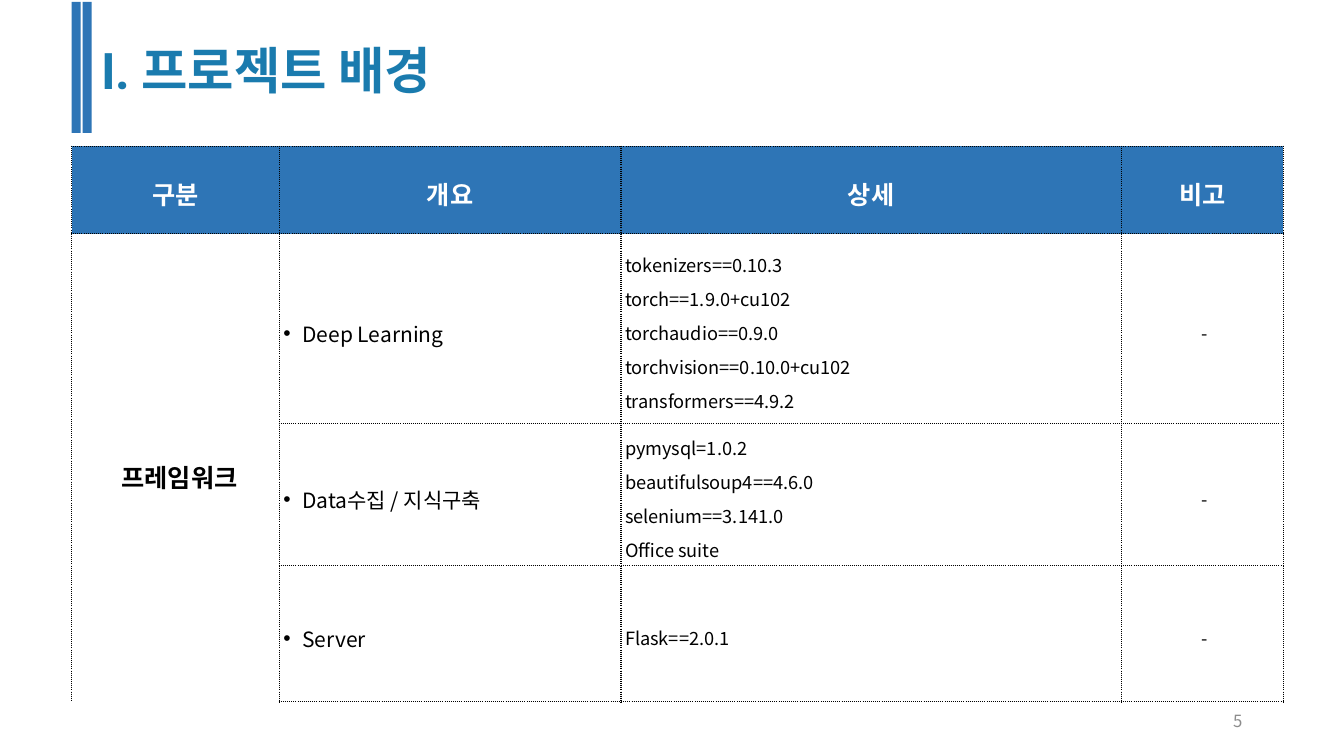
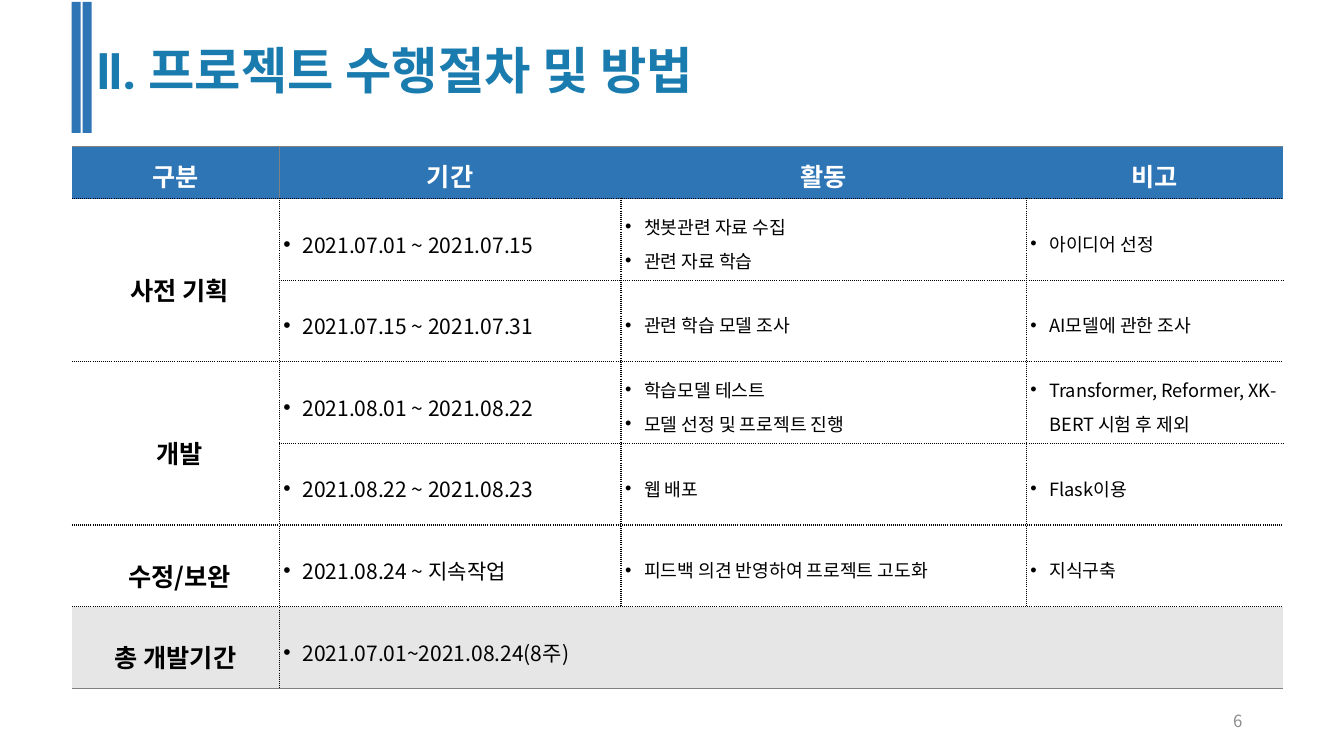
"""Build two project slides: the framework table and the schedule table."""
from lxml import etree
from pptx import Presentation
from pptx.dml.color import RGBColor
from pptx.enum.shapes import MSO_SHAPE
from pptx.enum.text import MSO_ANCHOR, MSO_AUTO_SIZE, PP_ALIGN
from pptx.oxml.ns import qn
from pptx.util import Emu, Pt

RECTANGLE = MSO_SHAPE.RECTANGLE
MIDDLE = MSO_ANCHOR.MIDDLE
GROW = MSO_AUTO_SIZE.SHAPE_TO_FIT_TEXT
LEFT, CENTER, RIGHT = PP_ALIGN.LEFT, PP_ALIGN.CENTER, PP_ALIGN.RIGHT

PX = 9144
SLIDE_SIZE = (1333, 750)
BLUE, TITLE_BLUE, GREY_TEXT, GREY_BAND = "2E75B6", "1A7BAE", "8C8C8C", "E7E6E6"
BLACK, WHITE = "000000", "FFFFFF"
BODY_FONT, TITLE_FONT = "Noto Sans CJK KR", "Roboto Condensed"

STRIPES = [(71, 2, 9, 130), (82, 2, 9, 130)]
TITLE_TOP, TITLE_WIDTH, TITLE_HEIGHT = 34, 744, 71
NUMBER_BOX = (942, 695, 300, 40)
TABLE_LEFT, TABLE_TOP = 71, 145
BULLET_INDENT = 19

DOTTED = (BLACK, 1, "sysDot")
THIN = ("808080", 0.5, "solid")
SIDES = {"L": (0, -1), "R": (0, 1), "T": (-1, 0), "B": (1, 0)}

CELL_STYLES = {
    "header": dict(size=18, bold=True, color=WHITE, align=CENTER, spacing=1.2, inset=0, fill=BLUE),
    "label": dict(size=18, bold=True, align=CENTER, spacing=1.5, inset=8),
    "item": dict(size=15, bullet=True),
    "list": dict(size=13, bullet=True),
    "plain": dict(size=13),
    "centred": dict(size=13, align=CENTER),
    "total label": dict(size=18, bold=True, align=CENTER, spacing=1.5, inset=0, fill=GREY_BAND),
    "total": dict(size=15, bullet=True, fill=GREY_BAND),
}

SLIDES = [
    dict(
        title="Ⅰ. 프로젝트 배경", title_left=91, number="5",
        widths=[206, 339, 496, 161], heights=[87, 188, 141, 135],
        kinds=["label", "item", "plain", "centred"],
        rows=[
            ["구분", "개요", "상세", "비고"],
            ["프레임워크", "Deep Learning",
             "tokenizers==0.10.3\ntorch==1.9.0+cu102\ntorchaudio==0.9.0\n"
             "torchvision==0.10.0+cu102\ntransformers==4.9.2", "-"],
            ["", "Data수집 / 지식구축",
             "pymysql=1.0.2\nbeautifulsoup4==4.6.0\nselenium==3.141.0\nOffice suite", "-"],
            ["", "Server", "Flask==2.0.1", "-"],
        ],
        merges=[(1, 0, 3, 0)],
        outline=dict(L=DOTTED, R=DOTTED, T=DOTTED, B=DOTTED),
        header_dividers=[DOTTED] * 3,
    ),
    dict(
        title="Ⅱ. 프로젝트 수행절차 및 방법", title_left=86, number="6",
        widths=[206, 339, 402, 255], heights=[52] + [81] * 6,
        kinds=["label", "item", "list", "list"],
        last_kinds=["total label"] + ["total"] * 3,
        rows=[
            ["구분", "기간", "활동", "비고"],
            ["사전 기획", "2021.07.01 ~ 2021.07.15", "챗봇관련 자료 수집\n관련 자료 학습", "아이디어 선정"],
            ["", "2021.07.15 ~ 2021.07.31", "관련 학습 모델 조사", "AI모델에 관한 조사"],
            ["개발", "2021.08.01 ~ 2021.08.22", "학습모델 테스트\n모델 선정 및 프로젝트 진행",
             "Transformer, Reformer, XK-BERT 시험 후 제외"],
            ["", "2021.08.22 ~ 2021.08.23", "웹 배포", "Flask이용"],
            ["수정/보완", "2021.08.24 ~ 지속작업", "피드백 의견 반영하여 프로젝트 고도화", "지식구축"],
            ["총 개발기간", "2021.07.01~2021.08.24(8주)", "", ""],
        ],
        merges=[(1, 0, 2, 0), (3, 0, 4, 0), (6, 1, 6, 3)],
        outline=dict(L=None, R=None, T=THIN, B=THIN),
        header_dividers=[THIN, None, None],
    ),
]


def px(value):
    return Emu(value * PX)


def rgb(color):
    return RGBColor.from_string(color)


def format_paragraph(para, size, color, font=BODY_FONT, bold=False, align=LEFT):
    para.alignment = align
    for span in para.runs:
        span.font.size = Pt(size)
        span.font.bold = bold
        span.font.color.rgb = rgb(color)
        span.font.name = font
        etree.SubElement(span.font._element, qn("a:ea"), typeface=BODY_FONT)


def add_bullet(para):
    properties = para._p.get_or_add_pPr()
    properties.set("marL", str(px(BULLET_INDENT)))
    properties.set("indent", str(-px(BULLET_INDENT)))
    etree.SubElement(properties, qn("a:buFont"), typeface="Arial")
    etree.SubElement(properties, qn("a:buChar"), char="•")


def add_text(page, bounds, text, **style):
    box = page.shapes.add_textbox(*map(px, bounds))
    frame = box.text_frame
    frame.word_wrap = True
    frame.text = text
    format_paragraph(frame.paragraphs[0], **style)
    return frame


def add_stripes(page):
    group = page.shapes.add_group_shape()
    for bounds in STRIPES:
        stripe = group.shapes.add_shape(RECTANGLE, *map(px, bounds))
        stripe.shadow.inherit = False
        stripe.fill.solid()
        stripe.fill.fore_color.rgb = rgb(BLUE)
        stripe.line.fill.background()


def set_border(cell, side, line):
    border = etree.SubElement(cell._tc.get_or_add_tcPr(), qn(f"a:ln{side}"))
    if line is None:
        etree.SubElement(border, qn("a:noFill"))
        return
    color, width, dash = line
    border.set("w", str(Pt(width)))
    fill = etree.SubElement(border, qn("a:solidFill"))
    etree.SubElement(fill, qn("a:srgbClr"), val=color)
    etree.SubElement(border, qn("a:prstDash"), val=dash)


def fill_cell(cell, text, size, color=BLACK, bold=False, align=LEFT,
              spacing=1.3, inset=4, bullet=False, fill=None):
    cell.vertical_anchor = MIDDLE
    cell.margin_left = px(inset)
    cell.margin_right = cell.margin_top = cell.margin_bottom = 0
    if fill:
        cell.fill.solid()
        cell.fill.fore_color.rgb = rgb(fill)
    else:
        cell.fill.background()
    if not text:
        return
    cell.text_frame.text = text
    for para in cell.text_frame.paragraphs:
        format_paragraph(para, size, color, bold=bold, align=align)
        para.line_spacing = spacing
        if bullet:
            add_bullet(para)


def border_line(content, owners, row, column, side):
    down, across = SIDES[side]
    neighbour = (row + down, column + across)
    if neighbour not in owners:
        return content["outline"][side]
    if owners[neighbour] == owners[row, column]:
        return None
    if row == 0 and across:
        return content["header_dividers"][min(column, neighbour[1])]
    return DOTTED


def add_table(page, content):
    rows, widths, heights = content["rows"], content["widths"], content["heights"]
    bounds = (TABLE_LEFT, TABLE_TOP, sum(widths), sum(heights))
    table = page.shapes.add_table(len(rows), len(widths), *map(px, bounds)).table
    table.first_row = table.horz_banding = False
    for column, width in zip(table.columns, widths):
        column.width = px(width)
    for row, height in zip(table.rows, heights):
        row.height = px(height)

    owners = {(r, c): (r, c) for r in range(len(rows)) for c in range(len(widths))}
    for top, left, bottom, right in content["merges"]:
        table.cell(top, left).merge(table.cell(bottom, right))
        for r in range(top, bottom + 1):
            for c in range(left, right + 1):
                owners[r, c] = (top, left)

    kinds = [content["kinds"]] * len(rows)
    kinds[0] = ["header"] * len(widths)
    kinds[-1] = content.get("last_kinds", content["kinds"])
    for r, c in owners:
        cell = table.cell(r, c)
        for side in SIDES:
            set_border(cell, side, border_line(content, owners, r, c, side))
        fill_cell(cell, rows[r][c], **CELL_STYLES[kinds[r][c]])


def add_page(deck, content):
    page = deck.slides.add_slide(deck.slide_layouts[6])
    add_stripes(page)
    title_bounds = (content["title_left"], TITLE_TOP, TITLE_WIDTH, TITLE_HEIGHT)
    title = add_text(page, title_bounds, content["title"],
                     size=36, color=TITLE_BLUE, font=TITLE_FONT, bold=True)
    title.auto_size = GROW
    add_table(page, content)
    number = add_text(page, NUMBER_BOX, content["number"],
                      size=12, color=GREY_TEXT, align=RIGHT)
    number.vertical_anchor = MIDDLE


def main():
    deck = Presentation()
    deck.slide_width, deck.slide_height = map(px, SLIDE_SIZE)
    for content in SLIDES:
        add_page(deck, content)
    deck.save("out.pptx")


if __name__ == "__main__":
    main()
